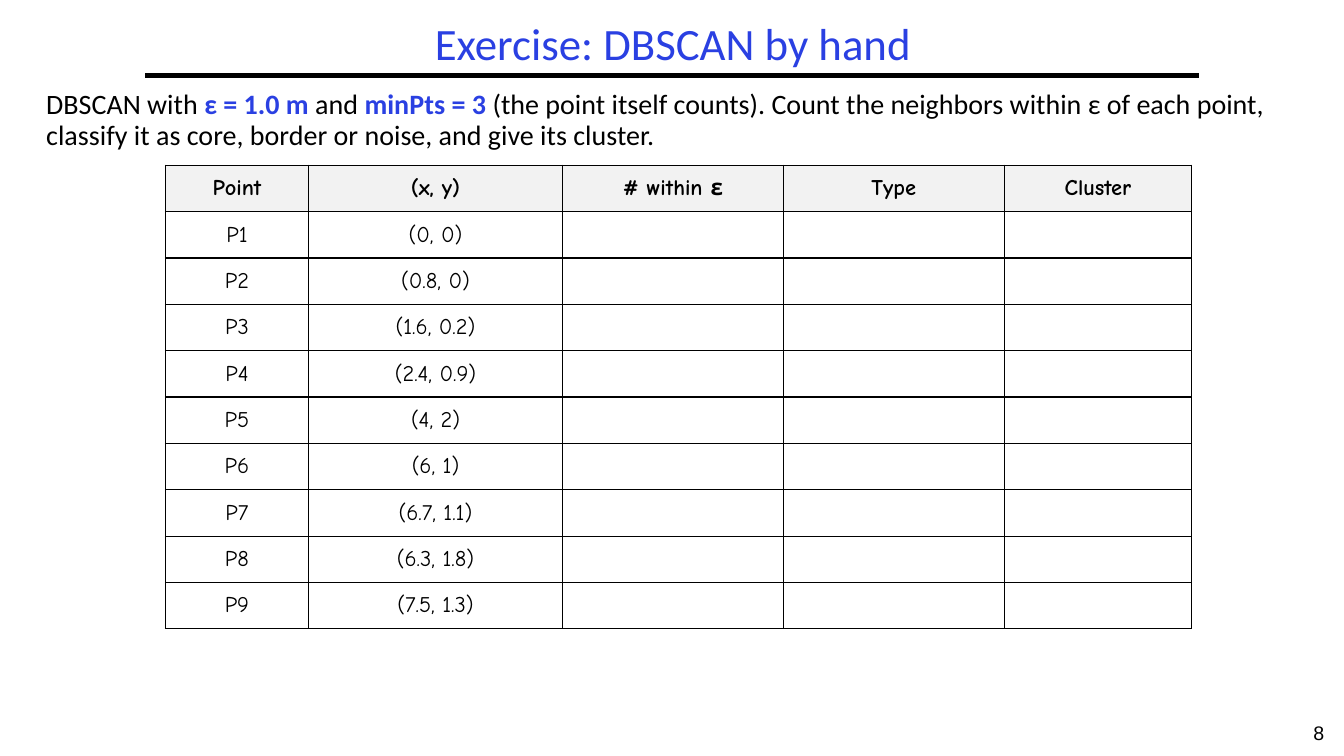
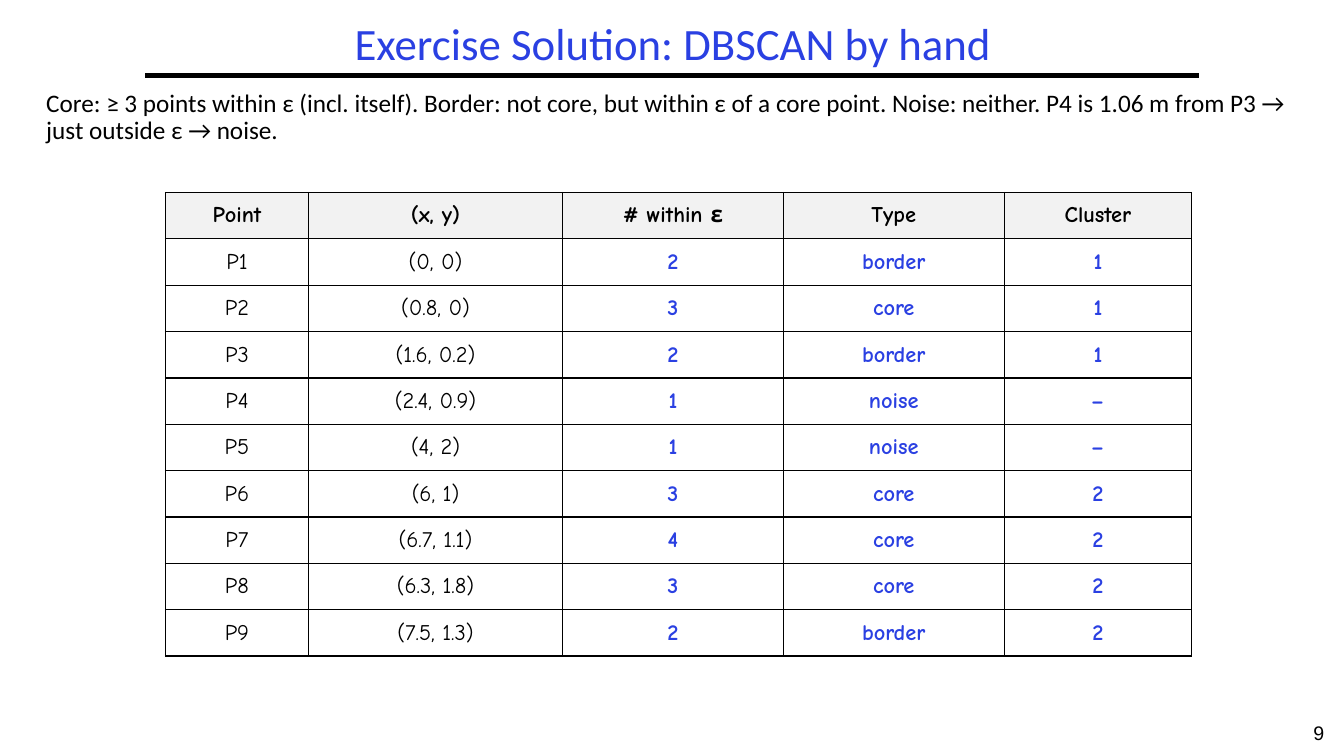
from lxml.etree import SubElement
from pptx import Presentation
from pptx.dml.color import RGBColor
from pptx.enum.shapes import MSO_CONNECTOR
from pptx.enum.text import MSO_ANCHOR, PP_ALIGN
from pptx.oxml.ns import qn
from pptx.util import Inches, Pt

BLACK, BLUE, GREY = "000000", "2A40E2", "F2F2F2"
COLS = [1.42, 2.52, 2.19, 2.19, 1.86]
ROW = 0.46
HEAD = ["Point", "(x, y)", "# within ε", "Type", "Cluster"]
SPOTS = ["(0, 0)", "(0.8, 0)", "(1.6, 0.2)", "(2.4, 0.9)", "(4, 2)",
         "(6, 1)", "(6.7, 1.1)", "(6.3, 1.8)", "(7.5, 1.3)"]
KEYS = [("2", "border", "1"), ("3", "core", "1"), ("2", "border", "1"),
        ("1", "noise", "–"), ("1", "noise", "–"), ("3", "core", "2"),
        ("4", "core", "2"), ("3", "core", "2"), ("2", "border", "2")]


def tint(code):
    """Return the colour for a hex string."""
    return RGBColor.from_string(code)


class Deck:
    """Holds the shared style and the current slide."""

    def __init__(self):
        self.prs = Presentation()
        self.prs.slide_width = Inches(13.33)
        self.prs.slide_height = Inches(7.5)
        self.slide = None

    def add_text(self, para, text, size, face="Calibri", color=BLACK, bold=False):
        """Add one styled run."""
        run = para.add_run()
        run.text = text
        font = run.font
        font.name, font.size, font.bold = face, Pt(size), bold
        font.color.rgb = tint(color)

    def start(self, title, page):
        """Begin a slide with its title, rule and page number."""
        self.slide = self.prs.slides.add_slide(self.prs.slide_layouts[5])
        self.rule()
        self.title(title)
        para = self.box(12.83, 7.1, 0.5, 0.4)
        para.alignment = PP_ALIGN.CENTER
        self.add_text(para, str(page), 14, "Arial")

    def rule(self):
        """Draw the line under the title."""
        line = self.slide.shapes.add_connector(
            MSO_CONNECTOR.STRAIGHT, Inches(1.44), Inches(0.75), Inches(11.89), Inches(0.75))
        line.line.color.rgb = tint(BLACK)
        line.line.width = Pt(3)
        SubElement(line.element.spPr, qn("a:effectLst"))

    def title(self, text):
        """Place and fill the title placeholder."""
        shape = self.slide.shapes.title
        shape.left, shape.top = Inches(1.44), Inches(0.17)
        shape.width, shape.height = Inches(10.47), Inches(0.58)
        shape.text_frame.vertical_anchor = MSO_ANCHOR.MIDDLE
        para = shape.text_frame.paragraphs[0]
        para.alignment = PP_ALIGN.CENTER
        para.line_spacing = 0.9
        self.add_text(para, text, 32, color=BLUE)

    def box(self, left, top, width, height):
        """Add a text box and return its paragraph."""
        frame = self.slide.shapes.add_textbox(
            Inches(left), Inches(top), Inches(width), Inches(height)).text_frame
        frame.word_wrap = True
        return frame.paragraphs[0]

    def body(self, height, size, *parts):
        """Add the task text, with bold parts in blue."""
        para = self.box(0.36, 0.85, 12.58, height)
        para.line_spacing = 0.9
        for text, bold in parts:
            self.add_text(para, text, size, color=BLUE if bold else BLACK, bold=bold)

    def table(self, top, rows):
        """Add the table of points."""
        grid = self.slide.shapes.add_table(
            len(rows), len(COLS), Inches(1.64), Inches(top),
            Inches(sum(COLS)), Inches(ROW * len(rows))).table
        grid.first_row = grid.horz_banding = False
        for col, width in zip(grid.columns, COLS):
            col.width = Inches(width)
        for i, row in enumerate(rows):
            grid.rows[i].height = Inches(ROW)
            for j, text in enumerate(row):
                self.cell(grid.cell(i, j), text, i == 0, j > 1)

    def cell(self, cell, text, head, answer):
        """Style and fill one cell."""
        cell.margin_left = cell.margin_right = Inches(0.07)
        cell.margin_top = cell.margin_bottom = Inches(0.03)
        cell.vertical_anchor = MSO_ANCHOR.MIDDLE
        self.edge(cell)
        if head:
            cell.fill.solid()
            cell.fill.fore_color.rgb = tint(GREY)
        else:
            cell.fill.background()
        if text:
            para = cell.text_frame.paragraphs[0]
            para.alignment = PP_ALIGN.CENTER
            color = BLUE if answer and not head else BLACK
            self.add_text(para, text, 16, "Comic Neue", color, head or answer)

    def edge(self, cell):
        """Draw the four borders of a cell."""
        props = cell._tc.get_or_add_tcPr()
        for side in ("a:lnL", "a:lnR", "a:lnT", "a:lnB"):
            line = SubElement(props, qn(side), w=str(Pt(1)))
            fill = SubElement(line, qn("a:solidFill"))
            SubElement(fill, qn("a:srgbClr"), val=BLACK)


def rows(keys):
    """Return the header and one row per point."""
    return [HEAD] + [[f"P{n}", spot, *key]
                     for n, (spot, key) in enumerate(zip(SPOTS, keys), 1)]


def main():
    """Build and save both slides."""
    deck = Deck()
    deck.start("Exercise: DBSCAN by hand", 8)
    deck.body(0.77, 20, ("DBSCAN with ", False), ("ε = 1.0 m", True), (" and ", False),
              ("minPts = 3", True),
              (" (the point itself counts). Count the neighbors within ε of each point, "
               "classify it as core, border or noise, and give its cluster.", False))
    deck.table(1.64, rows([("", "", "")] * len(SPOTS)))

    deck.start("Exercise Solution: DBSCAN by hand", 9)
    deck.body(1.04, 18,
              ("Core: ≥ 3 points within ε (incl. itself). Border: not core, but within ε of a "
               "core point. Noise: neither. P4 is 1.06 m from P3 → just outside ε → noise.", False))
    deck.table(1.91, rows(KEYS))
    deck.prs.save("out.pptx")


if __name__ == "__main__":
    main()
